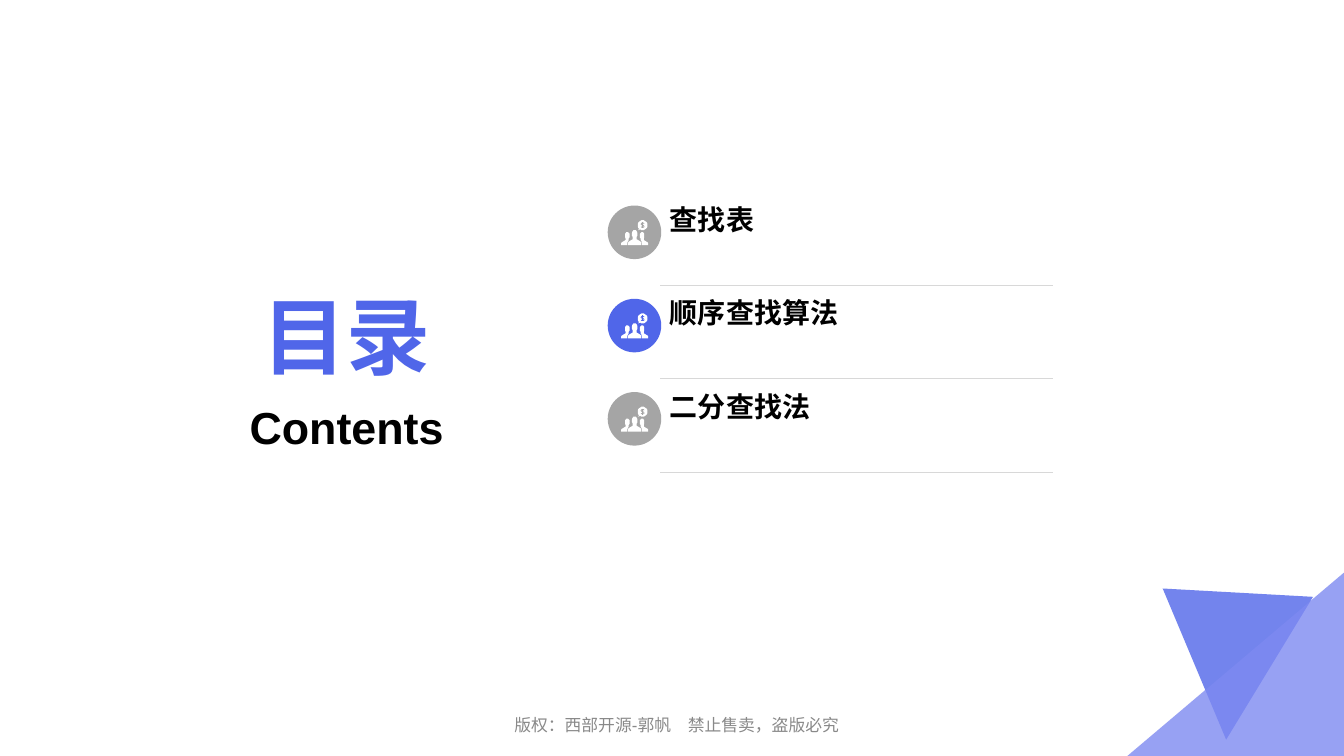
from math import cos, radians, sin

from lxml import etree
from pptx import Presentation
from pptx.dml.color import RGBColor
from pptx.enum.shapes import MSO_CONNECTOR, MSO_SHAPE
from pptx.enum.text import MSO_ANCHOR, MSO_AUTO_SIZE, PP_ALIGN
from pptx.oxml.ns import qn
from pptx.util import Cm, Pt

BLUE = RGBColor(0x50, 0x66, 0xE9)
LIGHT_BLUE = RGBColor(0x7E, 0x8A, 0xF1)
GREY = RGBColor(0xA5, 0xA5, 0xA5)
RULE_GREY = RGBColor(0xD8, 0xD8, 0xD8)
FOOTER_GREY = RGBColor(0x89, 0x89, 0x89)
BLACK = RGBColor(0, 0, 0)
WHITE = RGBColor(0xFF, 0xFF, 0xFF)

FONT = "Arial"
ROW_TOP = 5.18
ROW_STEP = 2.35
TOPICS = [("查找表", GREY), ("顺序查找算法", BLUE), ("二分查找法", GREY)]

# Icon outlines are in hundredths of a centimetre.
ICON_WIDTH = 68
HALF_PERSON = [(37, 25), (40, 29), (41, 33), (41, 39), (39, 42), (39, 48),
               (46, 52), (50, 55), (51, 58), (51, 63)]
RIGHT_PERSON = [(51, 30), (55, 30), (58, 34), (58, 43), (57, 46), (57, 50),
                (62, 53), (67, 56), (68, 58), (68, 63), (53, 63), (53, 58),
                (51, 53), (49, 50), (49, 46), (47, 43), (47, 34)]
DOLLAR = [[(58, 9), (56, 7), (52, 7), (50, 10), (52, 12), (56, 13), (58, 16),
           (56, 18), (52, 18), (50, 16)], [(54, 5), (54, 20)]]


def mirror(points):
    return [(ICON_WIDTH - x, y) for x, y in points]


def speech_bubble():
    arc = [(54 + 12.5 * cos(radians(a)), 12.5 + 12.5 * sin(radians(a)))
           for a in range(-210, 121, 15)]
    return arc + [(43, 25), (45, 21)]


def add_outline(slide, contours, left=0, top=0, closed=True):
    first, *others = contours
    builder = slide.shapes.build_freeform(*first[0], scale=Cm(0.01))
    builder.add_line_segments(first[1:], close=closed)
    for points in others:
        builder.move_to(*points[0])
        builder.add_line_segments(points[1:], close=closed)
    sp = builder.convert_to_shape(Cm(left), Cm(top))
    sp.shadow.inherit = False
    return sp


def fill_shape(sp, color, alpha=None):
    sp.fill.solid()
    sp.fill.fore_color.rgb = color
    sp.line.fill.background()
    if alpha is not None:
        clr = sp.fill._xPr.find(qn("a:solidFill"))[0]
        etree.SubElement(clr, qn("a:alpha")).set("val", str(alpha * 1000))


def set_text(sp, text, size, color, bold=True, align=PP_ALIGN.CENTER,
             anchor=MSO_ANCHOR.MIDDLE):
    tf = sp.text_frame
    tf.text = text
    tf.word_wrap = True
    tf.auto_size = MSO_AUTO_SIZE.NONE
    tf.vertical_anchor = anchor
    p = tf.paragraphs[0]
    p.alignment = align
    font = p.runs[0].font
    font.name = FONT
    font.size = Pt(size)
    font.bold = bold
    font.color.rgb = color
    return tf


def add_text(slide, left, top, width, height, *args, **kwargs):
    sp = slide.shapes.add_textbox(Cm(left), Cm(top), Cm(width), Cm(height))
    return set_text(sp, *args, **kwargs)


def add_rule(slide, left, right, y):
    line = slide.shapes.add_connector(
        MSO_CONNECTOR.STRAIGHT, Cm(left), Cm(y), Cm(right), Cm(y))
    line.line.color.rgb = RULE_GREY
    line.line.width = Pt(0.25)
    etree.SubElement(line._element.spPr, qn("a:effectLst"))


def add_people_icon(slide, left, top, badge_color):
    center_person = HALF_PERSON + mirror(HALF_PERSON)[::-1]
    people = [center_person, RIGHT_PERSON, mirror(RIGHT_PERSON),
              speech_bubble()]
    fill_shape(add_outline(slide, people, left, top), WHITE)
    dollar = add_outline(slide, DOLLAR, left, top, closed=False)
    dollar.fill.background()
    dollar.line.color.rgb = badge_color
    dollar.line.width = Pt(0.5)


def add_topic(slide, top, text, color):
    badge = slide.shapes.add_shape(
        MSO_SHAPE.OVAL, Cm(15.32), Cm(top), Cm(1.35), Cm(1.35))
    badge.shadow.inherit = False
    fill_shape(badge, color)
    add_people_icon(slide, 15.66, top + 0.37, color)
    tf = add_text(slide, 16.64, top - 0.25, 9.93, 1.07, text, 20, BLACK,
                  align=PP_ALIGN.LEFT)
    tf.margin_bottom = 0
    add_rule(slide, 16.64, 26.54, top + 2.01)


def main():
    prs = Presentation()
    prs.slide_width = Cm(33.88)
    prs.slide_height = Cm(19.05)
    slide = prs.slides.add_slide(prs.slide_layouts[5])

    title = slide.shapes.title
    title.left, title.top = Cm(5.31), Cm(6.65)
    title.width, title.height = Cm(6.86), Cm(3.18)
    set_text(title, "目录", 60, BLUE, anchor=MSO_ANCHOR.BOTTOM)
    add_text(slide, 5.31, 9.96, 6.86, 1.4, "Contents", 32, BLACK,
             anchor=MSO_ANCHOR.TOP)

    dark_triangle = [(3310, 1504), (3091, 1864), (2931, 1483)]
    corner_triangle = [(3388, 1905), (2842, 1905), (3388, 1443)]
    fill_shape(add_outline(slide, [dark_triangle]), BLUE, alpha=80)
    fill_shape(add_outline(slide, [corner_triangle]), LIGHT_BLUE, alpha=80)

    for i, (text, color) in enumerate(TOPICS):
        add_topic(slide, ROW_TOP + i * ROW_STEP, text, color)

    tf = add_text(slide, 11.56, 17.78, 11, 0.89,
                  "版权：西部开源-郭帆　禁止售卖，盗版必究", 12, FOOTER_GREY,
                  bold=False)
    tf.paragraphs[0].line_spacing = 1.2

    prs.save("out.pptx")


if __name__ == "__main__":
    main()
